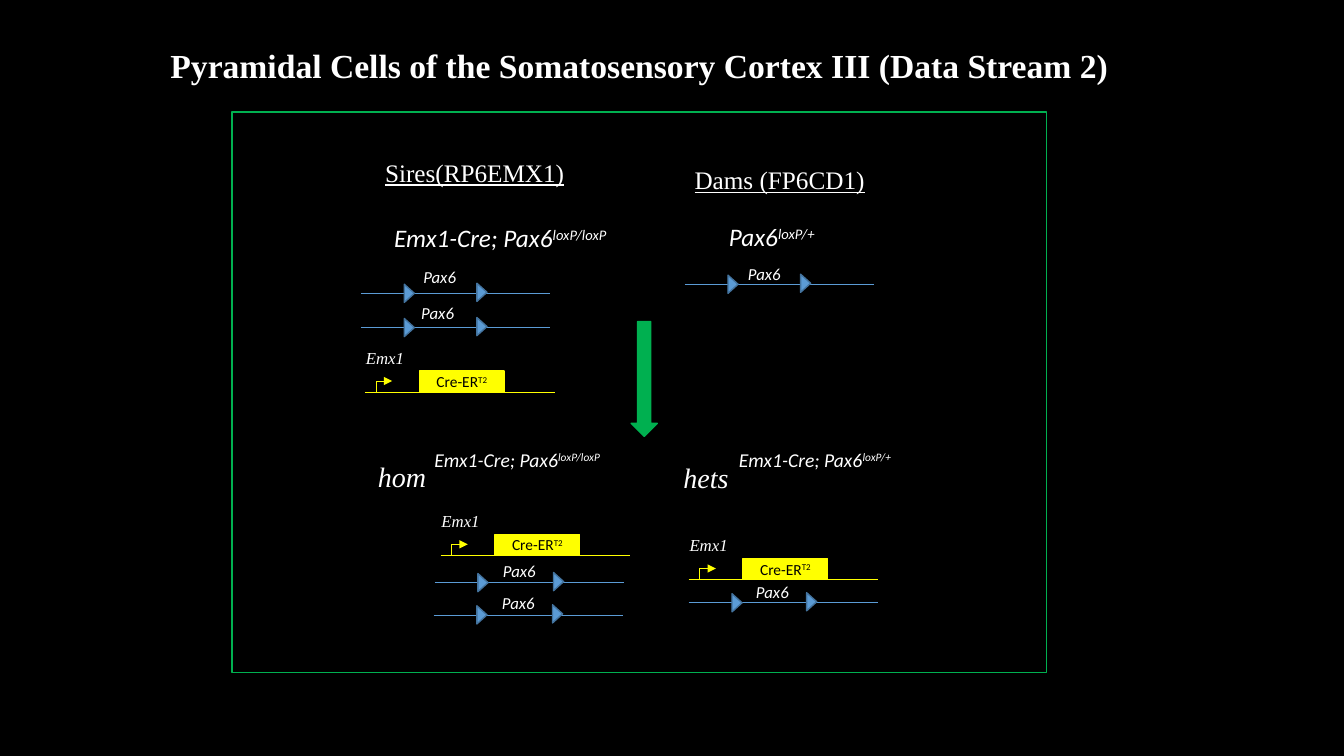
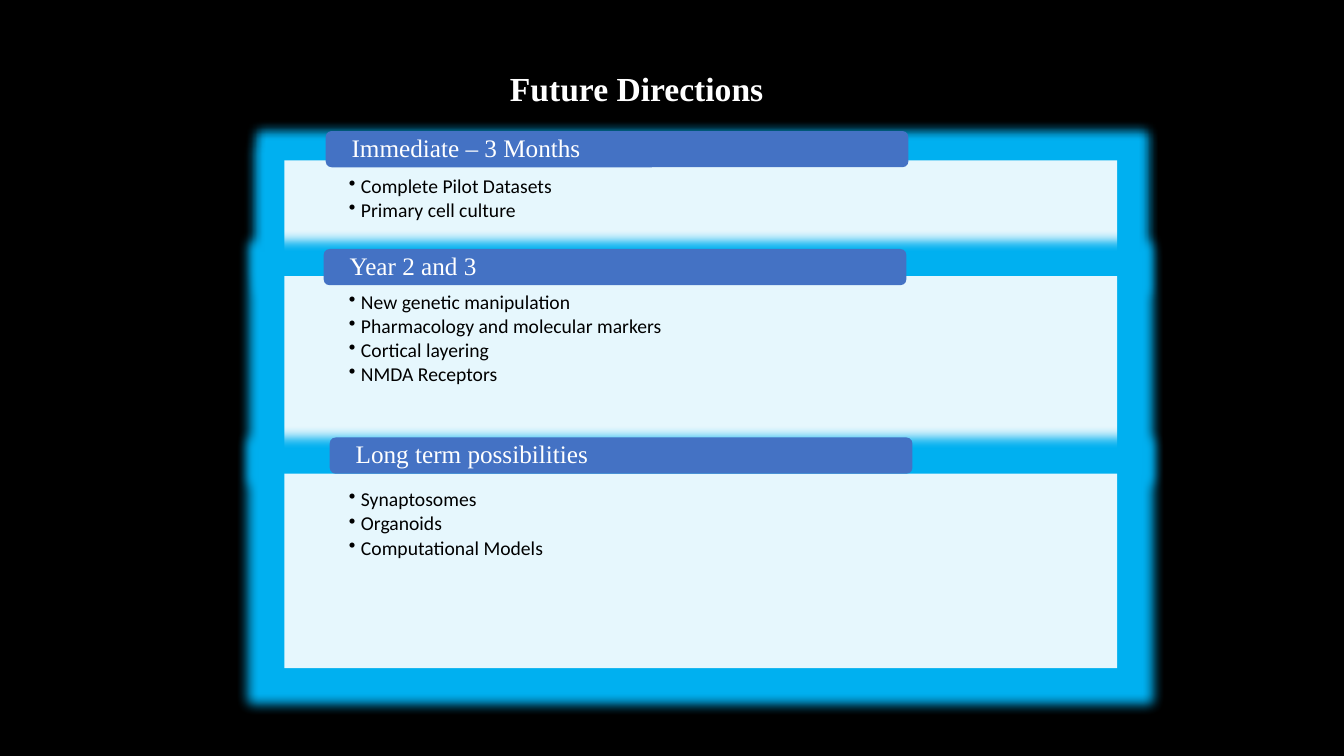
from pptx import Presentation
from pptx.dml.color import RGBColor
from pptx.enum.shapes import MSO_CONNECTOR, MSO_SHAPE
from pptx.enum.text import MSO_ANCHOR, PP_ALIGN
from pptx.oxml.ns import qn
from pptx.util import Inches, Pt
from lxml import etree

RECT, ROUND_RECT = MSO_SHAPE.RECTANGLE, MSO_SHAPE.ROUNDED_RECTANGLE
TRIANGLE, DOWN_ARROW = MSO_SHAPE.ISOSCELES_TRIANGLE, MSO_SHAPE.DOWN_ARROW
STRAIGHT = MSO_CONNECTOR.STRAIGHT
LEFT, CENTER = PP_ALIGN.LEFT, PP_ALIGN.CENTER
TOP, MIDDLE = MSO_ANCHOR.TOP, MSO_ANCHOR.MIDDLE

COLORS = {
    "background": "000000", "white": "FFFFFF", "black": "000000",
    "green": "00B050", "yellow": "FFFF00", "locus": "5B9BD5",
    "locus edge": "43739E", "header": "4472C4", "glow": "00B0F0",
}
SERIF, SANS = "Times New Roman", "Calibri"
TITLE = dict(size=24, bold=True, align=CENTER)


def add_block(slide, at, text="", kind=None, fill=None, edge=None, size=12,
              font=SERIF, color="white", bold=False, italic=False,
              underline=False, align=LEFT, anchor=TOP, spacing=1.0, after=0,
              insets=(0.1, 0.05, 0.1, 0.05), bullets=False):
    """Add a text box, or a shape of the given kind.

    A newline starts a paragraph; what follows ^ in one is superscript.
    """
    box = [Inches(length) for length in at]
    if kind is None:
        block = slide.shapes.add_textbox(*box)
    else:
        block = slide.shapes.add_shape(kind, *box)
        block.shadow.inherit = False
        for part, paint in ((block.fill, fill), (block.line.fill, edge)):
            if paint:
                part.solid()
                part.fore_color.rgb = RGBColor.from_string(COLORS[paint])
            else:
                part.background()
        if edge:
            block.line.width = Pt(1)
    if not text:
        return block

    frame = block.text_frame
    frame.word_wrap = True
    frame.vertical_anchor = anchor
    (frame.margin_left, frame.margin_top,
     frame.margin_right, frame.margin_bottom) = [Inches(i) for i in insets]
    for number, line in enumerate(text.split("\n")):
        paragraph = frame.add_paragraph() if number else frame.paragraphs[0]
        paragraph.alignment = align
        paragraph.line_spacing = spacing
        paragraph.space_after = Pt(after)
        if bullets:
            properties = paragraph._p.get_or_add_pPr()
            properties.set("marL", str(Inches(0.12)))
            properties.set("indent", str(-Inches(0.12)))
            etree.SubElement(properties, qn("a:buChar")).set("char", "•")
        base, _, superscript = line.partition("^")
        for words, baseline in ((base, None), (superscript, "30000")):
            if not words:
                continue
            run = paragraph.add_run()
            run.text = words
            run.font.name, run.font.size = font, Pt(size)
            run.font.bold, run.font.italic = bold, italic
            run.font.underline = underline
            run.font.color.rgb = RGBColor.from_string(COLORS[color])
            if baseline:
                run._r.get_or_add_rPr().set("baseline", baseline)
    return block


def add_line(slide, start, end, color, arrow=False):
    line = slide.shapes.add_connector(
        STRAIGHT, *[Inches(length) for length in (*start, *end)])
    line.line.width = Pt(0.5)
    line.line.color.rgb = RGBColor.from_string(COLORS[color])
    if arrow:
        outline = line.line._get_or_add_ln()
        etree.SubElement(outline, qn("a:tailEnd")).set("type", "triangle")
    etree.SubElement(line._element.spPr, qn("a:effectLst"))


deck = Presentation()
deck.slide_width, deck.slide_height = Inches(13.33), Inches(7.5)
slides = []
for _ in range(2):
    slide = deck.slides.add_slide(deck.slide_layouts[6])
    slide.background.fill.solid()
    slide.background.fill.fore_color.rgb = RGBColor.from_string(
        COLORS["background"])
    slides.append(slide)
breeding, future = slides

# Breeding scheme
add_block(breeding, (2.3, 1.11, 8.08, 5.56), kind=RECT, edge="green")
add_block(breeding, (0.61, 0.2, 11.46, 0.71),
          "Pyramidal Cells of the Somatosensory Cortex III (Data Stream 2)",
          spacing=1.5, **TITLE)
add_block(breeding, (6.26, 3.19, 0.26, 1.14), kind=DOWN_ARROW,
          fill="green", edge="green")

for at, parent in (((3.72, 1.51, 2.15, 0.4), "Sires(RP6EMX1)"),
                   ((6.79, 1.58, 2.12, 0.4), "Dams (FP6CD1)")):
    add_block(breeding, at, parent, size=18, underline=True)

for at, genotype, size in (
        ((3.81, 2.16, 2.41, 0.4), "Emx1-Cre; Pax6^loxP/loxP", 18),
        ((7.13, 2.15, 1.12, 0.4), "Pax6^loxP/+", 18),
        ((4.21, 4.39, 1.92, 0.34), "Emx1-Cre; Pax6^loxP/loxP", 14),
        ((7.23, 4.39, 1.77, 0.34), "Emx1-Cre; Pax6^loxP/+", 14)):
    add_block(breeding, at, genotype, size=size, font=SANS, italic=True)

for at, offspring in (((3.65, 4.51, 1.07, 0.44), "hom"),
                      ((6.68, 4.52, 1.07, 0.44), "hets")):
    add_block(breeding, at, offspring, size=20, italic=True)

# Pax6 alleles: line start, offset of the second loxP site, offset of the label
for x, y, second_site, label_x, label_y in (
        (3.58, 2.91, 1.11, 0.52, -0.31),
        (3.58, 3.25, 1.11, 0.5, -0.3),
        (6.79, 2.82, 1.11, 0.53, -0.25),
        (6.83, 5.98, 1.13, 0.57, -0.26),
        (4.3, 6.1, 1.14, 0.58, -0.27),
        (4.31, 5.78, 1.14, 0.58, -0.27)):
    add_line(breeding, (x, y), (x + 1.88, y), "locus")
    for site_x, site_y in ((0.39, -0.05), (second_site, -0.06)):
        site = add_block(breeding, (x + site_x, y + site_y, 0.18, 0.1),
                         kind=TRIANGLE, fill="locus", edge="locus edge")
        site.rotation = 90
    add_block(breeding, (x + label_x, y + label_y, 1.5, 0.3), "Pax6",
              font=SANS, italic=True)

# Emx1 promoters driving Cre-ER
for x, y in ((3.62, 3.89), (6.83, 5.75), (4.37, 5.51)):
    promoter_x, promoter_y = x + 0.11, y - 0.11
    add_line(breeding, (x, y), (x + 1.88, y), "yellow")
    add_block(breeding, (x + 0.54, y - 0.21, 0.84, 0.21), "Cre-ER^T2",
              kind=RECT, fill="yellow", edge="yellow", size=11, font=SANS,
              color="black", align=CENTER, anchor=MIDDLE)
    add_line(breeding, (promoter_x, y), (promoter_x, promoter_y), "yellow")
    add_line(breeding, (promoter_x, promoter_y),
             (promoter_x + 0.16, promoter_y), "yellow", arrow=True)
    add_block(breeding, (x - 0.09, y - 0.49, 0.88, 0.3), "Emx1", italic=True)

# Future directions
stages = (
    ("Immediate – 3 Months", 3.23, 1.3, 1.59, 1.02, 0.2,
     "Complete Pilot Datasets\nPrimary cell culture"),
    ("Year 2 and 3", 3.21, 2.47, 2.74, 1.73, 0.23,
     "New genetic manipulation\nPharmacology and molecular markers\n"
     "Cortical layering\nNMDA Receptors"),
    ("Long term possibilities", 3.27, 4.34, 4.7, 1.93, 0.24,
     "Synaptosomes\nOrganoids\nComputational Models"),
)
for stage, header_x, header_y, panel_y, height, radius, goals in stages:
    panel = add_block(future, (2.82, panel_y, 8.26, height), goals, kind=RECT,
                      fill="white", size=14, font=SANS, color="black",
                      spacing=0.9, after=2.1, bullets=True,
                      insets=(0.64, 0.16, 0.64, 0.11))
    properties = panel._element.spPr
    white = properties.find(qn("a:solidFill"))[0]
    etree.SubElement(white, qn("a:alpha")).set("val", "90000")
    glow = etree.SubElement(properties.find(qn("a:effectLst")), qn("a:glow"))
    glow.set("rad", str(Inches(radius)))
    etree.SubElement(glow, qn("a:srgbClr")).set("val", COLORS["glow"])
    add_block(future, (header_x, header_y, 5.78, 0.36), stage,
              kind=ROUND_RECT, fill="header", size=18, anchor=MIDDLE,
              spacing=0.9, insets=(0.24, 0, 0.24, 0))
add_block(future, (2.53, 0.62, 7.57, 0.5), "Future Directions", **TITLE)

deck.save("out.pptx")
